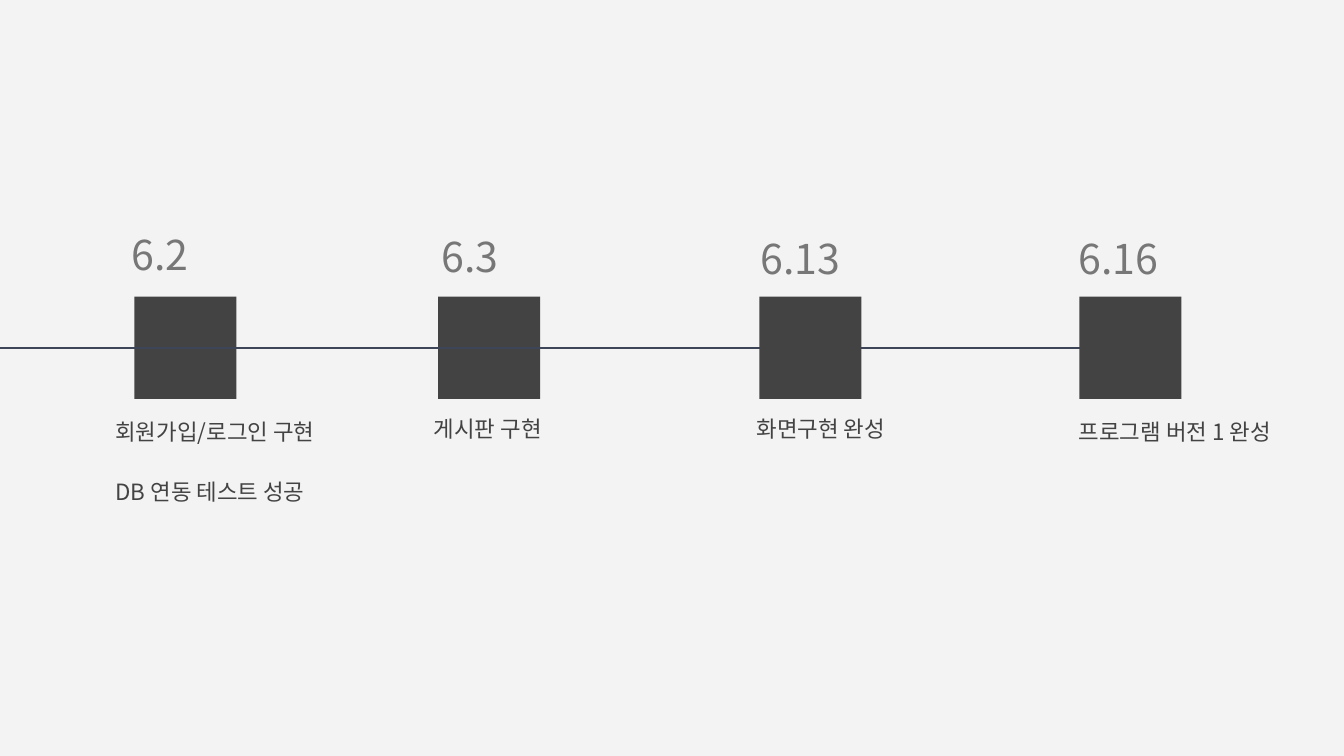
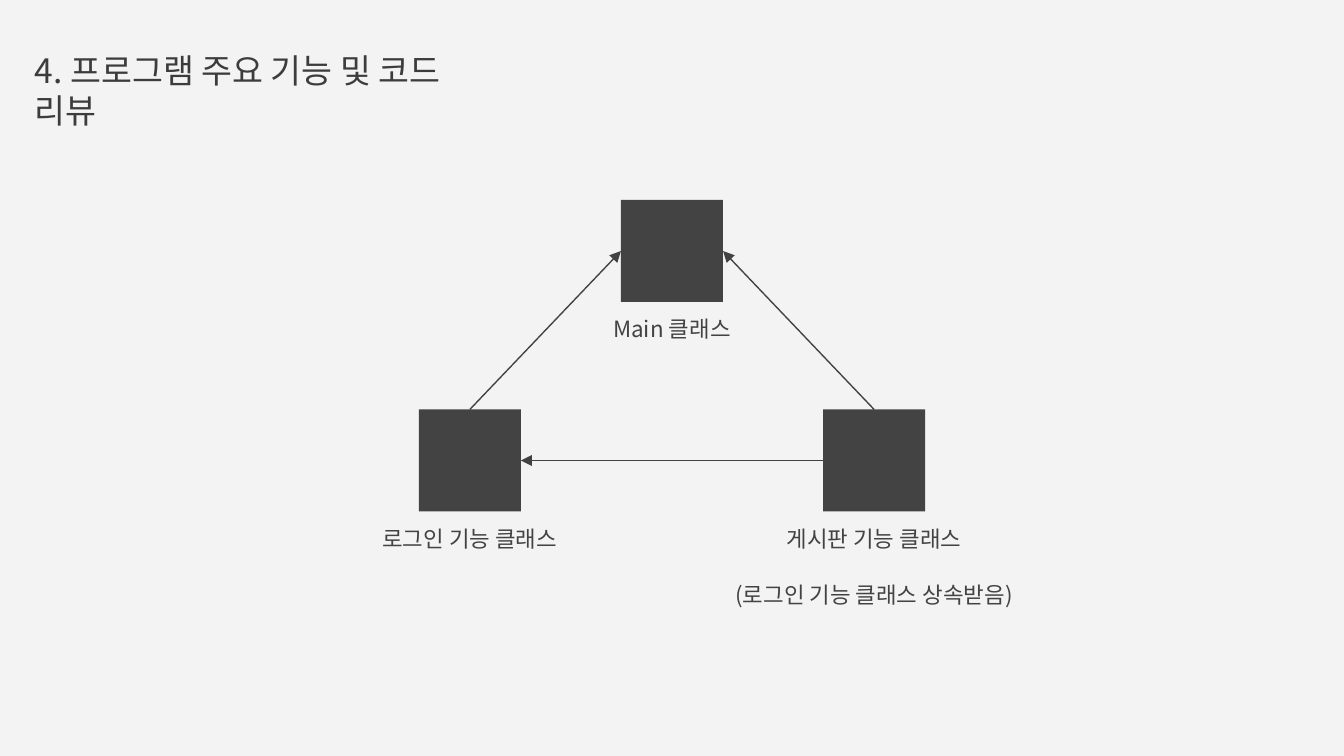
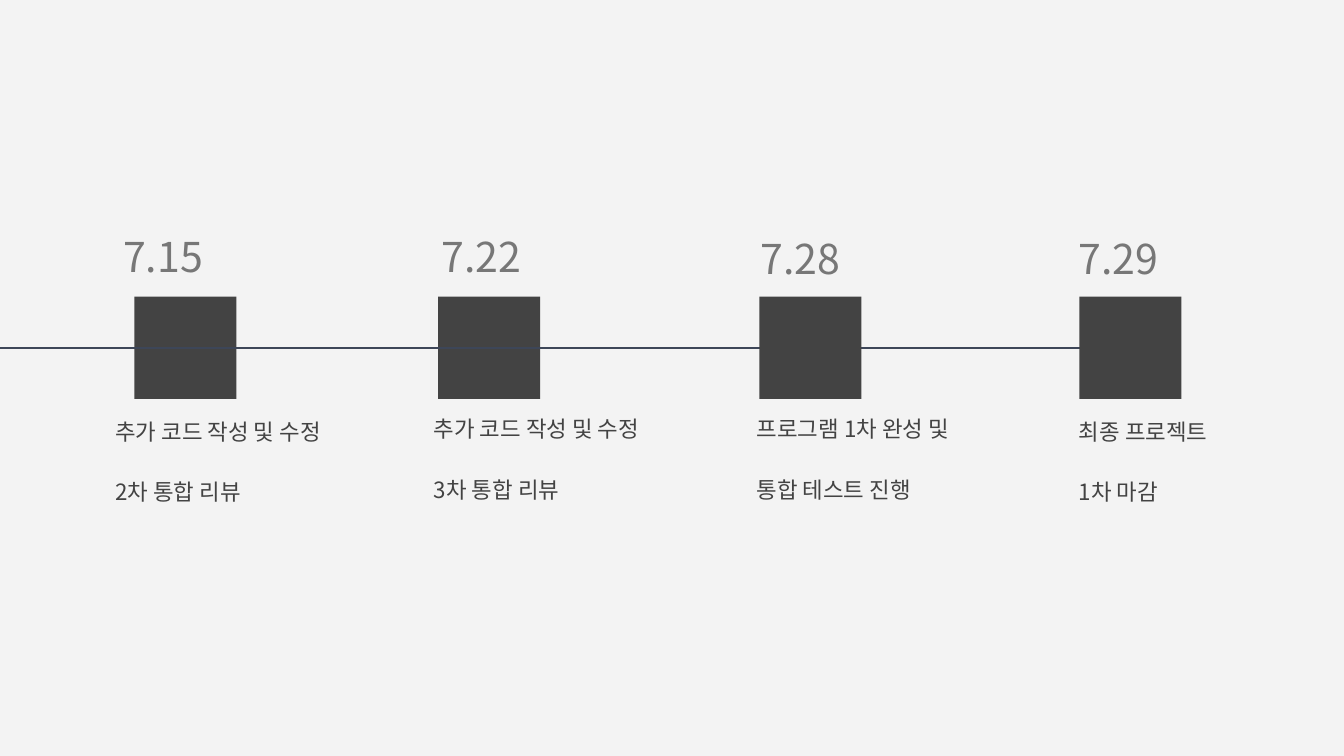
from dataclasses import dataclass

from lxml import etree
from pptx import Presentation
from pptx.dml.color import RGBColor
from pptx.enum.shapes import MSO_CONNECTOR, MSO_SHAPE
from pptx.enum.text import MSO_ANCHOR, MSO_AUTO_SIZE, PP_ALIGN
from pptx.oxml.ns import qn
from pptx.util import Cm, Pt

RECTANGLE = MSO_SHAPE.RECTANGLE
STRAIGHT = MSO_CONNECTOR.STRAIGHT
TOP, MIDDLE = MSO_ANCHOR.TOP, MSO_ANCHOR.MIDDLE
LEFT, CENTER = PP_ALIGN.LEFT, PP_ALIGN.CENTER
NO_AUTOFIT = MSO_AUTO_SIZE.NONE
TITLE_SLIDE, TITLE_ONLY = 0, 5
SITE_TOP, SITE_LEFT, SITE_RIGHT = 0, 1, 3


@dataclass(frozen=True)
class TextStyle:
    size: int
    color: str
    anchor: MSO_ANCHOR = TOP
    align: PP_ALIGN = LEFT
    line_spacing: float = 1.0
    space_after: int = 0


class Theme:
    font = "Noto Sans CJK KR"
    background = "F3F3F3"
    square = "434343"
    timeline = "3D4658"
    arrow = "424242"
    line_width = 0.75
    inset = 0.25
    heading = TextStyle(18, "3C3C3C")
    date = TextStyle(22, "777777", anchor=MIDDLE)
    caption = TextStyle(12, "434343", line_spacing=1.15, space_after=16)
    class_name = TextStyle(12, "434343", align=CENTER, space_after=16)


# Content: (date, caption lines) per milestone
JUNE = [
    ("6.2", ["회원가입/로그인 구현", "DB 연동 테스트 성공"]),
    ("6.3", ["게시판 구현"]),
    ("6.13", ["화면구현 완성"]),
    ("6.16", ["프로그램 버전 1 완성"]),
]
JULY = [
    ("7.15", ["추가 코드 작성 및 수정", "2차 통합 리뷰"]),
    ("7.22", ["추가 코드 작성 및 수정", "3차 통합 리뷰"]),
    ("7.28", ["프로그램 1차 완성 및", "통합 테스트 진행"]),
    ("7.29", ["최종 프로젝트", "1차 마감"]),
]
REVIEW_TITLE = "4. 프로그램 주요 기능 및 코드 리뷰"
# Class: caption lines, column and row in the triangle, caption width
CLASSES = {
    "main": (["Main 클래스"], 0, 0, 6.05),
    "login": (["로그인 기능 클래스"], -1, 1, 6.05),
    "board": (["게시판 기능 클래스", "(로그인 기능 클래스 상속받음)"], 1, 1, 9.17),
}
ARROWS = [
    ("login", SITE_TOP, "main", SITE_LEFT),
    ("board", SITE_TOP, "main", SITE_RIGHT),
    ("board", SITE_LEFT, "login", SITE_RIGHT),
]

# Layout in centimetres
PAGE_SIZE = (25.4, 14.29)
SQUARE = 1.93
SQUARE_TOP = 5.61
SQUARE_LEFTS = [2.54, 8.28, 14.35, 20.4]
DATE_SIZE = (6.05, 1.47)
DATE_PLACES = [(8.1, 4.11), (14.12, 4.14), (20.14, 4.14)]
CAPTION_SIZE = (6.05, 2.41)
CAPTION_PLACES = [(1.93, 7.57), (7.95, 7.52), (14.05, 7.52), (20.14, 7.57)]
TIMELINE_ENDS = (-0.15, 20.68)
TIMELINE_Y = 6.58
TRIANGLE_STEP = (3.82, 3.96)
TRIANGLE_TOP = 3.78
CLASS_NAME_HEIGHT = 0.94


def set_values(target, values):
    for name, value in values.items():
        setattr(target, name, value)


def write_text(box, place, size, lines, style):
    """Place a box or placeholder and fill it with one paragraph per line."""
    lengths = [Cm(value) for value in (*place, *size)]
    set_values(box, dict(zip(("left", "top", "width", "height"), lengths)))
    frame = box.text_frame
    set_values(frame, {"word_wrap": True, "auto_size": NO_AUTOFIT,
                       "vertical_anchor": style.anchor})
    sides = ("left", "top", "right", "bottom")
    set_values(frame, {f"margin_{side}": Cm(Theme.inset) for side in sides})
    for index, line in enumerate(lines):
        para = frame.add_paragraph() if index else frame.paragraphs[0]
        set_values(para, {"alignment": style.align, "space_before": Pt(0),
                          "space_after": Pt(style.space_after),
                          "line_spacing": style.line_spacing})
        span = para.add_run()
        span.text = line
        set_values(span.font, {"size": Pt(style.size), "name": Theme.font})
        span.font.color.rgb = RGBColor.from_string(style.color)
        latin = span._r.rPr.find(qn("a:latin"))
        east_asian = etree.Element(qn("a:ea"), typeface=Theme.font)
        latin.addnext(east_asian)


def add_text(page, place, size, lines, style):
    box = page.shapes.add_textbox(0, 0, 0, 0)
    write_text(box, place, size, lines, style)


def add_square(page, left, top):
    square = page.shapes.add_shape(RECTANGLE, Cm(left), Cm(top), Cm(SQUARE), Cm(SQUARE))
    square.shadow.inherit = False
    square.fill.solid()
    square.fill.fore_color.rgb = RGBColor.from_string(Theme.square)
    square.line.fill.background()
    return square


def add_line(page, start, end, color, arrow=False):
    line = page.shapes.add_connector(STRAIGHT, *(Cm(value) for value in (*start, *end)))
    line.line.color.rgb = RGBColor.from_string(color)
    line.line.width = Pt(Theme.line_width)
    if arrow:
        etree.SubElement(line.line._get_or_add_ln(), qn("a:tailEnd"), type="triangle")
    etree.SubElement(line._element.spPr, qn("a:effectLst"))
    return line


def add_timeline(deck, milestones, first_date_place):
    page = deck.slides.add_slide(deck.slide_layouts[TITLE_SLIDE])
    date_places = [first_date_place, *DATE_PLACES]
    for index, left in enumerate(SQUARE_LEFTS):
        if index == 2:  # the line runs over the first two squares only
            start, end = ((x, TIMELINE_Y) for x in TIMELINE_ENDS)
            add_line(page, start, end, Theme.timeline)
        add_square(page, left, SQUARE_TOP)

    for index, (date, caption) in enumerate(milestones):
        date_text = (date_places[index], DATE_SIZE, [date], Theme.date)
        caption_text = (CAPTION_PLACES[index], CAPTION_SIZE, caption, Theme.caption)
        if index == 0:
            write_text(page.shapes.title, *date_text)
            write_text(page.placeholders[1], *caption_text)
        else:
            add_text(page, *date_text)
            add_text(page, *caption_text)


def add_class_diagram(deck):
    page = deck.slides.add_slide(deck.slide_layouts[TITLE_ONLY])
    write_text(page.shapes.title, (0.41, 0.69), (9.45, 1.19), [REVIEW_TITLE], Theme.heading)

    squares = {}
    for name, (lines, column, row, width) in CLASSES.items():
        center = PAGE_SIZE[0] / 2 + column * TRIANGLE_STEP[0]
        top = TRIANGLE_TOP + row * TRIANGLE_STEP[1]
        squares[name] = add_square(page, center - SQUARE / 2, top)
        add_text(page, (center - width / 2, top + SQUARE), (width, CLASS_NAME_HEIGHT),
                 lines, Theme.class_name)

    for source, source_site, target, target_site in ARROWS:
        arrow = add_line(page, (0, 0), (0, 0), Theme.arrow, arrow=True)
        arrow.begin_connect(squares[source], source_site)
        arrow.end_connect(squares[target], target_site)


def main():
    deck = Presentation()
    deck.slide_width, deck.slide_height = (Cm(value) for value in PAGE_SIZE)
    background = deck.slide_master.background.fill
    background.solid()
    background.fore_color.rgb = RGBColor.from_string(Theme.background)

    add_timeline(deck, JUNE, first_date_place=(2.24, 4.06))
    add_class_diagram(deck)
    add_timeline(deck, JULY, first_date_place=(2.08, 4.11))
    deck.save("out.pptx")


if __name__ == "__main__":
    main()
